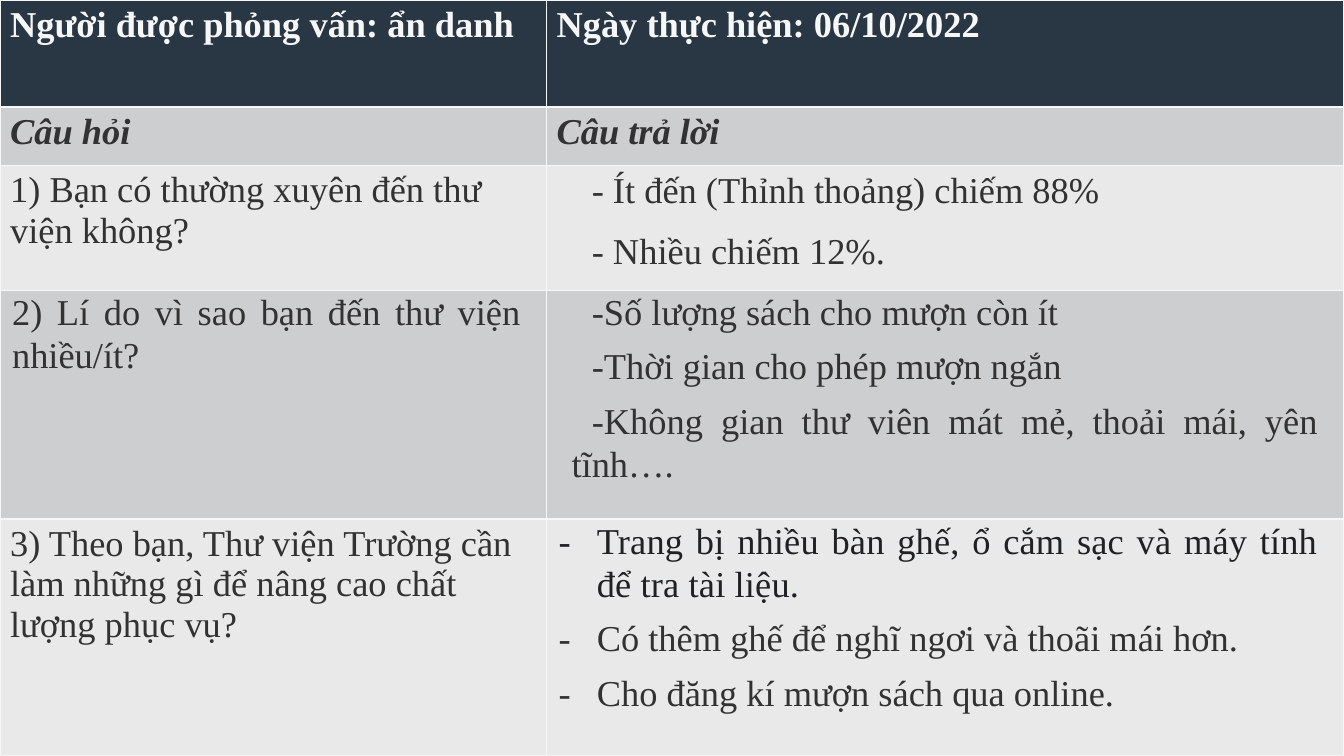
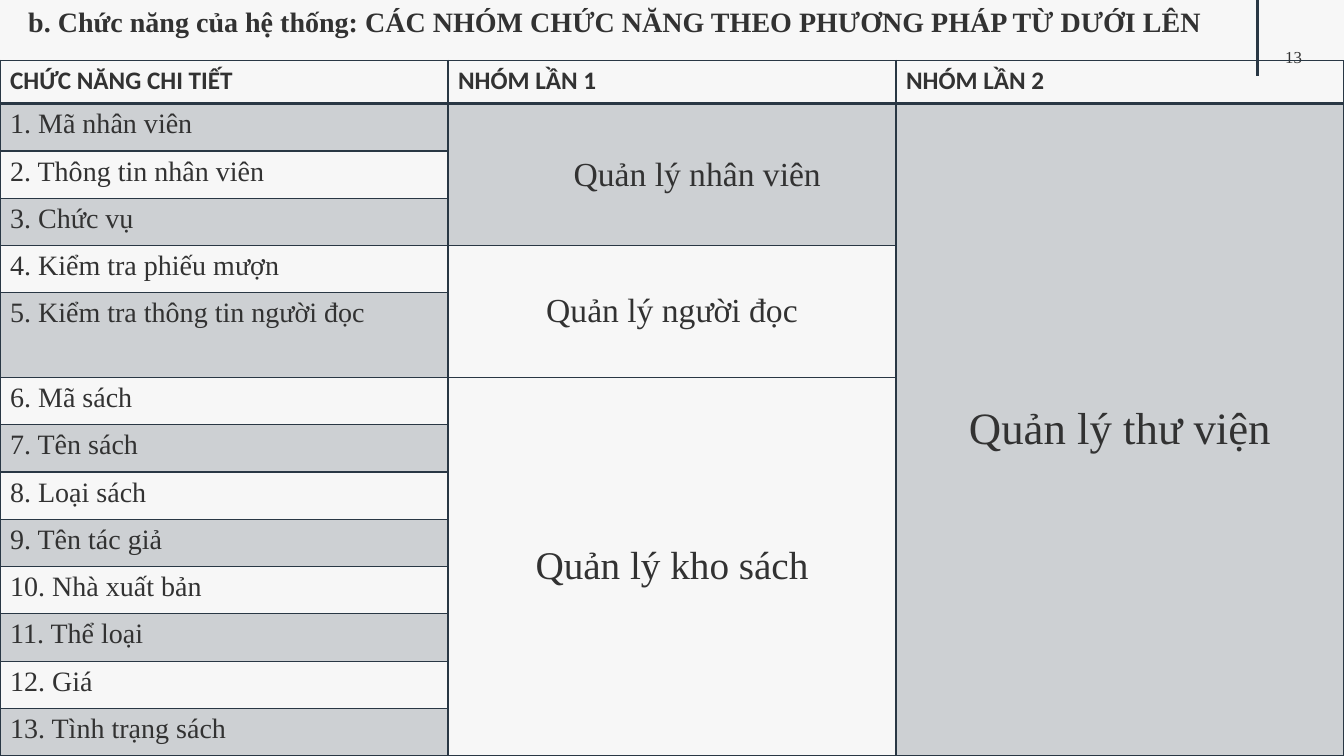
import pptx
import pptx.util
import pptx.dml.color
import pptx.enum.shapes
import pptx.enum.text
import pptx.oxml
import pptx.oxml.ns
import lxml.etree

Inches, Pt = pptx.util.Inches, pptx.util.Pt
RGB = pptx.dml.color.RGBColor.from_string
ALIGN = pptx.enum.text.PP_ALIGN
ANCHOR = pptx.enum.text.MSO_ANCHOR
qn = pptx.oxml.ns.qn

W, H = 13.33, 7.5
COLORS = {"paper": "F7F7F7", "navy": "293744", "text": "323232",
          "ink": "202124", "band": "CDCECF", "light": "E8E9E8"}
SERIF = "Times New Roman"


def write(p, text, size, color="text", name=SERIF, bold=False, italic=False):
    r = p.add_run()
    r.text = text
    fmt = {"size": Pt(size), "name": name, "bold": bold, "italic": italic}
    for key, value in fmt.items():
        setattr(r.font, key, value)
    r.font.color.rgb = RGB(COLORS[color])
    return r


def style_cell(cell, fill, line, bottom=1, top=1, alpha=None):
    if fill:
        cell.fill.solid()
        cell.fill.fore_color.rgb = RGB(COLORS[fill])
    else:
        cell.fill.background()
    tcPr = cell._tc.get_or_add_tcPr()
    if alpha:
        clr = tcPr.find(".//" + qn("a:srgbClr"))
        lxml.etree.SubElement(clr, qn("a:alpha")).set("val", str(alpha * 1000))
    widths = {"L": 1, "R": 1, "T": top, "B": bottom}
    for i, (side, width) in enumerate(widths.items()):
        ln = pptx.oxml.parse_xml(
            f'<a:ln{side} {pptx.oxml.ns.nsdecls("a")} w="{Pt(width)}"><a:solidFill>'
            f'<a:srgbClr val="{COLORS[line]}"/></a:solidFill></a:ln{side}>')
        tcPr.insert(i, ln)


prs = pptx.Presentation()
prs.slide_width, prs.slide_height = Inches(W), Inches(H)
bg = prs.slide_master.background.fill
bg.solid()
bg.fore_color.rgb = RGB(COLORS["paper"])

LOOSE = {"line_spacing": 1.15, "space_after": Pt(10)}
TIGHT = {"line_spacing": 1.07, "space_after": Pt(8)}
PLAIN = {"spacing": None, "indent": (0, 0), "bullet": False}
INTERVIEW = [
    [(["Người được phỏng vấn: ẩn danh"], PLAIN),
     (["Ngày thực hiện: 06/10/2022"], PLAIN)],
    [(["Câu hỏi"], PLAIN), (["Câu trả lời"], PLAIN)],
    [(["1) Bạn có thường xuyên đến thư viện không?"], PLAIN),
     (["- Ít đến (Thỉnh thoảng) chiếm 88%", "- Nhiều chiếm 12%."],
      {"spacing": LOOSE, "indent": (0.13, 0.2), "bullet": False})],
    [(["2) Lí do vì sao bạn đến thư viện nhiều/ít?"],
      {"spacing": TIGHT, "indent": (0, 0), "bullet": False}),
     (["-Số lượng sách cho mượn còn ít", "-Thời gian cho phép mượn ngắn",
       "-Không gian thư viên mát mẻ, thoải mái, yên tĩnh…."],
      {"spacing": TIGHT, "indent": (0.13, 0.2), "bullet": False})],
    [(["3) Theo bạn, Thư viện Trường cần làm những gì để nâng cao chất lượng phục vụ?"], PLAIN),
     (["Trang bị nhiều bàn ghế, ổ cắm sạc và máy tính để tra tài liệu.",
       "Có thêm ghế để nghĩ ngơi và thoãi mái hơn.",
       "Cho đăng kí mượn sách qua online."],
      {"spacing": TIGHT, "indent": (0.38, -0.38), "bullet": True})],
]
ROW_HEIGHTS = [1.06, 0.58, 1.24, 2.27, 2.35]
ROW_FILLS = ["navy", "band", "light", "band", "light"]
RIGHT_INDENT = 0.13

s = prs.slides.add_slide(prs.slide_layouts[6])
rule = s.shapes.add_connector(pptx.enum.shapes.MSO_CONNECTOR.STRAIGHT,
                              Inches(12.47), 0, Inches(12.47), Inches(H / 10))
rule.line.color.rgb = RGB(COLORS["navy"])
rule.line.width = Pt(2.25)
lxml.etree.SubElement(rule._element.spPr, qn("a:effectLst"))
prs.slide_master.shapes._spTree.append(rule._element)

table = s.shapes.add_table(len(INTERVIEW), 2, 0, 0, Inches(W), Inches(H)).table
table.first_row = table.horz_banding = False
for col, width in zip(table.columns, (5.42, W - 5.42)):
    col.width = Inches(width)
for i, row in enumerate(INTERVIEW):
    table.rows[i].height = Inches(ROW_HEIGHTS[i])
    for j, (texts, layout) in enumerate(row):
        cell = table.cell(i, j)
        style_cell(cell, ROW_FILLS[i], "paper", bottom=2 if i == 0 else 1,
                   top=2 if i == 1 else 1)
        if layout["spacing"]:
            cell.margin_left = cell.margin_right = Inches(0.12)
            cell.margin_top = cell.margin_bottom = 0
        for n, text in enumerate(texts):
            tf = cell.text_frame
            p = tf.paragraphs[0] if n == 0 else tf.add_paragraph()
            pPr = p._p.get_or_add_pPr()
            if layout["spacing"]:
                p.alignment = ALIGN.JUSTIFY
                for key, value in layout["spacing"].items():
                    setattr(p, key, value)
                pPr.set("marR", str(Inches(RIGHT_INDENT)))
            for key, value in zip(("marL", "indent"), layout["indent"]):
                pPr.set(key, str(Inches(value)))
            if layout["bullet"]:
                lxml.etree.SubElement(pPr, qn("a:buFont")).set("typeface", SERIF)
                lxml.etree.SubElement(pPr, qn("a:buChar")).set("char", "-")
            first_bullet = layout["bullet"] and n == 0
            color = "paper" if i == 0 else "ink" if first_bullet else "text"
            r = write(p, text, 26, color, bold=i < 2, italic=i == 1)
            if first_bullet:
                r._r.get_or_add_rPr().set("spc", "10")

HEADERS = ["CHỨC NĂNG CHI TIẾT", "NHÓM LẦN 1", "NHÓM LẦN 2"]
FUNCTIONS = ["Mã nhân viên", "Thông tin nhân viên", "Chức vụ", "Kiểm tra phiếu mượn",
             "Kiểm tra thông tin người đọc", "Mã sách", "Tên sách", "Loại sách",
             "Tên tác giả", "Nhà xuất bản", "Thể loại", "Giá", "Tình trạng sách"]
GROUPS = [(1, 3, 1, "Quản lý nhân viên", 24, 0.5), (4, 5, 1, "Quản lý người đọc", 24, 0),
          (6, 13, 1, "Quản lý kho sách", 28, 0), (1, 13, 2, "Quản lý thư viện", 32, 0)]
SHADED_GROUPS = {(1, 1), (1, 2)}
TOP, HEAD, TALL = 0.6, 0.43, 0.84
STEP = (H - TOP - HEAD - TALL) / (len(FUNCTIONS) - 1)

s = prs.slides.add_slide(prs.slide_layouts[5])
title = s.shapes.title
title.left, title.top, title.width, title.height = [Inches(v) for v in (0.18, 0, 12.5, 0.81)]
tf = title.text_frame
tf.word_wrap = True
tf.auto_size = pptx.enum.text.MSO_AUTO_SIZE.NONE
tf.vertical_anchor = ANCHOR.TOP
tf.margin_top = Inches(0.04)
p = tf.paragraphs[0]
p.alignment = ALIGN.LEFT
write(p, "b. Chức năng của hệ thống: CÁC NHÓM CHỨC NĂNG THEO PHƯƠNG PHÁP TỪ DƯỚI LÊN",
      20, bold=True)

sp = s.shapes.add_textbox(Inches(12.43), Inches(0.46), Inches(0.8), Inches(0.2))
tf = sp.text_frame
tf.word_wrap = True
tf.margin_top = tf.margin_bottom = 0
p = tf.paragraphs[0]
p.alignment = ALIGN.CENTER
write(p, "13", 12)

table = s.shapes.add_table(len(FUNCTIONS) + 1, 3, 0, Inches(TOP),
                           Inches(W), Inches(H - TOP)).table
table.first_row = table.horz_banding = False
for j, header in enumerate(HEADERS):
    table.columns[j].width = Inches(W / 3)
    cell = table.cell(0, j)
    style_cell(cell, None, "navy", bottom=2.5)
    write(cell.text_frame.paragraphs[0], header, 18, name="Calibri", bold=True)
table.rows[0].height = Inches(HEAD)
for i, text in enumerate(FUNCTIONS, 1):
    table.rows[i].height = Inches(TALL if i == 5 else STEP)
    for j in range(3):
        shaded = i % 2 == 1 if j == 0 else (i, j) in SHADED_GROUPS
        style_cell(table.cell(i, j), "navy" if shaded else None, "navy",
                   top=2.5 if i == 1 else 1, alpha=20 if shaded else None)
    write(table.cell(i, 0).text_frame.paragraphs[0], f"{i}. {text}", 20)
for first, last, j, text, size, indent in GROUPS:
    cell = table.cell(first, j)
    cell.merge(table.cell(last, j))
    cell.vertical_anchor = ANCHOR.MIDDLE
    p = cell.text_frame.paragraphs[0]
    p.alignment = ALIGN.CENTER
    p._p.get_or_add_pPr().set("marL", str(Inches(indent)))
    write(p, text, size)

prs.save("out.pptx")
